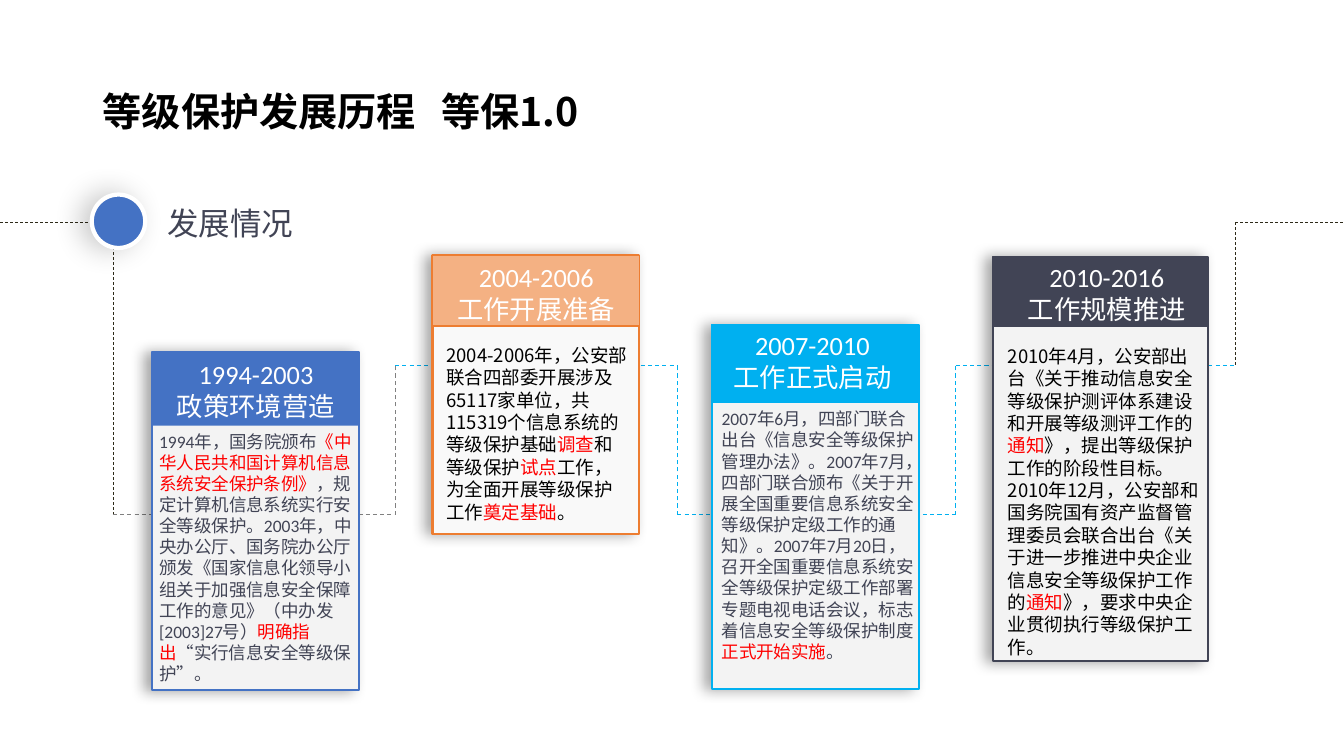
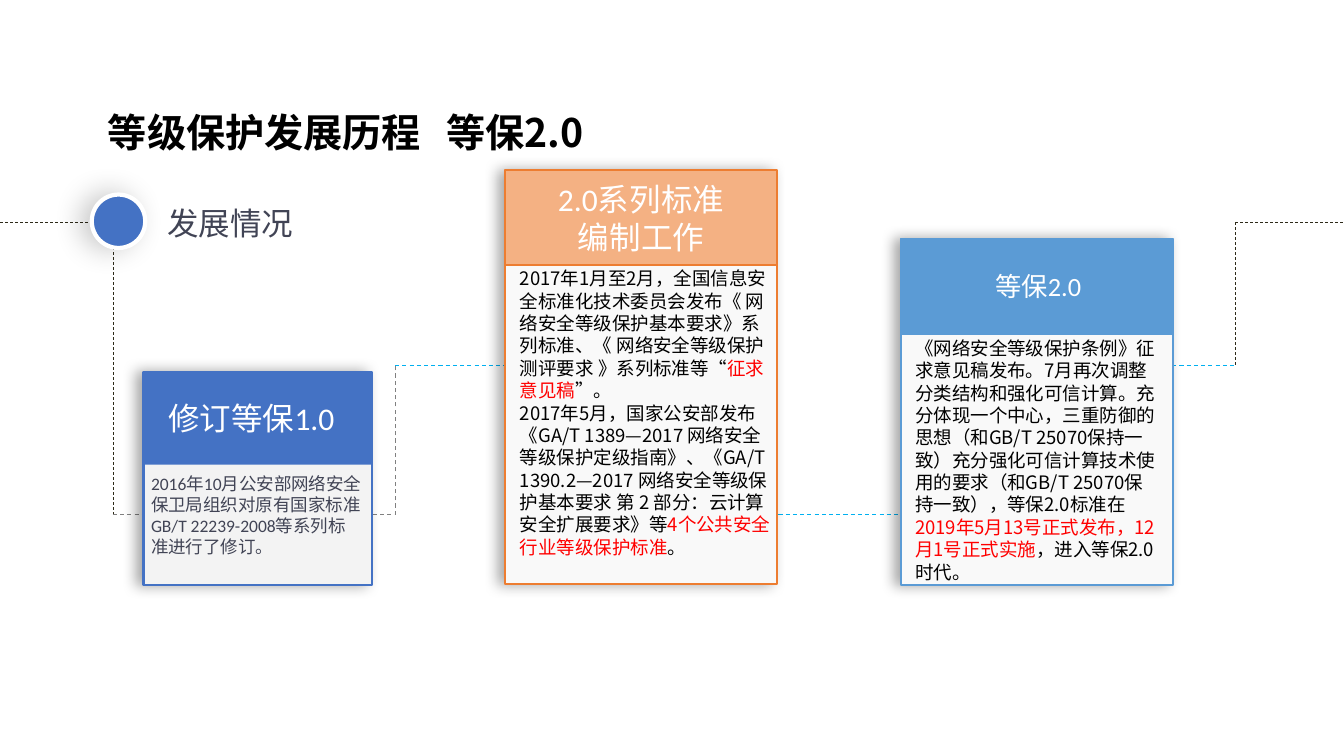
"""Build two timeline slides on the history of classified protection 1.0 and 2.0."""
from lxml import etree
from pptx import Presentation
from pptx.dml.color import RGBColor
from pptx.enum.dml import MSO_LINE
from pptx.enum.shapes import MSO_CONNECTOR, MSO_SHAPE
from pptx.enum.text import MSO_ANCHOR, MSO_AUTO_SIZE, PP_ALIGN
from pptx.oxml.ns import qn
from pptx.util import Inches, Pt

DASH, STRAIGHT = MSO_LINE.DASH, MSO_CONNECTOR.STRAIGHT
RECT, OVAL = MSO_SHAPE.RECTANGLE, MSO_SHAPE.OVAL
LEFT, CENTER = PP_ALIGN.LEFT, PP_ALIGN.CENTER
TOP, MIDDLE = MSO_ANCHOR.TOP, MSO_ANCHOR.MIDDLE
GROW = MSO_AUTO_SIZE.SHAPE_TO_FIT_TEXT
LATIN, CJK = "Calibri", "Noto Sans CJK SC"
BLUE, SKY, ORANGE, PEACH = "4472C4", "00B0F0", "ED7D31", "F4B183"
STEEL, SLATE, INK, GREY = "5B9BD5", "414455", "2D2A19", "808080"
BLACK, WHITE, RED, PALE, SNOW = "000000", "FFFFFF", "FF0000", "F3F3F3", "F9F9F9"
rgb = RGBColor.from_string

prs = Presentation()
prs.slide_width, prs.slide_height = Inches(13.333), Inches(7.5)


def at(x, y, w, h):
    """Turn percentages of the slide into lengths."""
    return [int(share * side / 100) for share, side in
            zip((x, y, w, h), (prs.slide_width, prs.slide_height) * 2)]


def write(sp, paras, style):
    """Fill a shape with paragraphs; text between asterisks is red."""
    tf = sp.text_frame
    for key, value in style["frame"].items():
        setattr(tf, key, value)
    for i, line in enumerate(paras):
        p = tf.paragraphs[0] if i == 0 else tf.add_paragraph()
        for key, value in style["para"].items():
            setattr(p, key, value)
        for j, part in enumerate(line.split("*")):
            r = p.add_run()
            r.text = part
            for key, value in style["font"].items():
                setattr(r.font, key, value)
            r.font.color.rgb = rgb(RED if j % 2 else style["color"])
            latin = r.font._element.find(qn("a:latin"))
            latin.addnext(etree.Element(qn("a:ea"), typeface=CJK))


STYLES = {}
for key, name, size, color, align, wrap, anchor in [
        ("label", LATIN, 22.5, SLATE, LEFT, False, TOP),
        ("head", LATIN, 18.8, WHITE, CENTER, False, TOP),
        ("large head", LATIN, 22.5, WHITE, LEFT, True, TOP),
        ("block head", LATIN, 22.5, WHITE, CENTER, True, MIDDLE),
        ("small text", LATIN, 12.5, SLATE, LEFT, True, TOP),
        ("text", CJK, 13.2, BLACK, LEFT, True, TOP)]:
    STYLES[key] = {
        "frame": {"word_wrap": wrap, "vertical_anchor": anchor, "auto_size": GROW},
        "para": {"alignment": align, "line_spacing": Pt(round(size * 1.21, 1))},
        "font": {"name": name, "size": Pt(size)}, "color": color}
STYLES["block head"]["frame"].pop("auto_size")
STYLES["title"] = {
    "frame": {"word_wrap": True, "vertical_anchor": MIDDLE},
    "para": {"alignment": LEFT, "line_spacing": 0.9},
    "font": {"name": CJK, "size": Pt(28), "bold": True}, "color": BLACK}

COLS = [0, 8.4, 29.4, 50.4, 71.1, 91.9, 100]
ROWS = [29.4, 48.4, 68.1]
LINES = [
    (0, 0, 1, 0, INK, 0.5), (5, 0, 6, 0, INK, 0.5), (1, 0, 1, 2, INK, 0.5),
    (1, 2, 2, 2, GREY, 0.75), (4, 1, 5, 1, SKY, 0.75), (2, 1, 3, 1, SKY, 0.75),
    (2, 2, 2, 1, GREY, 0.75), (3, 2, 4, 2, SKY, 0.75), (5, 0, 5, 1, INK, 0.5)]
INNER_LINES = [(3, 2, 3, 1, SKY, 0.75), (4, 2, 4, 1, SKY, 0.75)]

SLIDES = [
    {"title": "等级保护发展历程\t等保1.0", "title_at": (6.9, 5.33, 86.25, 19.33),
     "lines": LINES + INNER_LINES,
     "cards": [
         {"box": (11.3, 46.6, 15.4, 44.7), "head_h": 9.7, "edge": BLUE,
          "band": BLUE, "band_line": 0, "fill": PALE,
          "head": ["1994-2003", "政策环境营造"], "head_style": "head",
          "head_at": (12.38, 46.67, 13.35, 9.73),
          "text_at": (11.1, 56.27, 16.35, 35.07), "style": "small text",
          "text": ["1994年，国务院颁布*《中华人民共和国计算机信息系统安全保护条例》*，"
                   "规定计算机信息系统实行安全等级保护。2003年，中央办公厅、国务院办公厅颁发"
                   "《国家信息化领导小组关于加强信息安全保障工作的意见》（中办发[2003]27号）"
                   "*明确指出*“实行信息安全等级保护”。"]},
         {"box": (32.18, 33.8, 15.4, 36.8), "head_h": 9.33, "edge": ORANGE,
          "band": PEACH, "band_line": 1, "fill": SNOW,
          "head": ["2004-2006", "工作开展准备"], "head_style": "head",
          "head_at": (33.23, 33.87, 13.35, 9.73),
          "text_at": (32.48, 44.8, 15, 24.93), "style": "text",
          "text": ["2004-2006年，公安部联合四部委开展涉及65117家单位，共115319个信息系统的"
                   "等级保护基础*调查*和等级保护*试点*工作，为全面开展等级保护工作*奠定基础*。"]},
         {"box": (52.95, 43, 15.4, 48.1), "head_h": 10.27, "edge": SKY,
          "band": SKY, "band_line": 1, "fill": PALE,
          "head": ["2007-2010", "工作正式启动"], "head_style": "head",
          "head_at": (53.78, 42.93, 13.35, 9.73),
          "text_at": (52.95, 53.33, 15.9, 35.07), "style": "small text",
          "text": ["2007年6月，四部门联合出台《信息安全等级保护管理办法》。2007年7月，"
                   "四部门联合颁布《关于开展全国重要信息系统安全等级保护定级工作的通知》。"
                   "2007年7月20日，召开全国重要信息系统安全等级保护定级工作部署专题电视电话会议，"
                   "标志着信息安全等级保护制度*正式开始实施*。"]},
         {"box": (73.88, 34, 15.98, 53.47), "head_h": 9.2, "edge": SLATE,
          "band": SLATE, "band_line": 1, "fill": PALE,
          "head": ["2010-2016", "工作规模推进"], "head_style": "head",
          "head_at": (75.68, 33.87, 13.35, 9.73),
          "text_at": (74.25, 44.93, 16.2, 42.53), "style": "text",
          "text": ["2010年4月，公安部出台《关于推动信息安全等级保护测评体系建设和开展等级测评"
                   "工作的*通知*》，提出等级保护工作的阶段性目标。",
                   "2010年12月，公安部和国务院国有资产监督管理委员会联合出台《关于进一步推进"
                   "中央企业信息安全等级保护工作的*通知*》，要求中央企业贯彻执行等级保护工作。"]}]},
    {"title": "等级保护发展历程\t等保2.0", "title_at": (7.28, 13.33, 86.25, 9.07),
     "lines": LINES,
     "cards": [
         {"box": (10.68, 49.2, 17, 28.13), "head_h": 12.27, "edge": BLUE,
          "band": BLUE, "band_line": 0, "fill": PALE,
          "head": ["修订等保1.0"], "head_style": "large head",
          "head_at": (11.78, 52.13, 16.2, 6.4),
          "text_at": (10.5, 61.87, 17.18, 15.33), "style": "small text",
          "text": ["2016年10月公安部网络安全保卫局组织对原有国家标准 GB/T 22239-2008等系列标",
                   "准进行了修订。"]},
         {"box": (37.58, 22.53, 20.25, 54.67), "head_h": 12.53, "edge": ORANGE,
          "band": PEACH, "band_line": 1, "fill": SNOW,
          "head": ["2.0系列标准", "编制工作"], "head_style": "block head",
          "head_at": None,
          "text_at": (37.95, 34.67, 20.33, 39.6), "style": "text",
          "text": ["2017年1月至2月，全国信息安全标准化技术委员会发布《 网络安全等级保护基本要求》"
                   "系列标准、《 网络安全等级保护测评要求 》系列标准等“*征求意见稿*”。",
                   "2017年5月，国家公安部发布《GA/T 1389—2017 网络安全等级保护定级指南》、"
                   "《GA/T 1390.2—2017 网络安全等级保护基本要求 第 2 部分：云计算安全扩展要求》等"
                   "*4个公共安全行业等级保护标准*。"]},
         {"box": (67.05, 31.6, 20.25, 45.73), "head_h": 12.53, "edge": STEEL,
          "band": STEEL, "band_line": 1.5, "fill": SNOW,
          "head": ["等保2.0"], "head_style": "head",
          "head_at": (68.55, 35.07, 17.4, 5.6),
          "text_at": (67.35, 43.87, 19.73, 33.73), "style": "text",
          "text": ["《网络安全等级保护条例》征求意见稿发布。7月再次调整分类结构和强化可信计算。"
                   "充分体现一个中心，三重防御的思想（和GB/T 25070保持一致）充分强化可信计算技术"
                   "使用的要求（和GB/T 25070保持一致），等保2.0标准在"
                   "*2019年5月13号正式发布，12月1号正式实施*，进入等保2.0时代。"]}]},
]

for data in SLIDES:
    s = prs.slides.add_slide(prs.slide_layouts[5])
    title = s.shapes.title
    title.left, title.top, title.width, title.height = at(*data["title_at"])
    write(title, [data["title"]], STYLES["title"])
    pPr = title.text_frame.paragraphs[0]._p.get_or_add_pPr()
    tabs = etree.SubElement(pPr, qn("a:tabLst"))
    etree.SubElement(tabs, qn("a:tab"), pos=str(Inches(3.36)), algn="l")

    label = s.shapes.add_textbox(*at(11.7, 26.27, 10.95, 6.4))
    write(label, ["发展情况"], STYLES["label"])

    for c1, r1, c2, r2, color, width in data["lines"]:
        ends = at(COLS[c1], ROWS[r1], COLS[c2], ROWS[r2])
        line = s.shapes.add_connector(STRAIGHT, *ends)
        line.line.color.rgb = rgb(color)
        line.line.width = Pt(width)
        line.line.dash_style = DASH
        etree.SubElement(line._element.spPr, qn("a:effectLst"))

    shapes = []
    for card in data["cards"]:
        x, y, w, h = card["box"]
        shapes.append((RECT, card["box"], card["fill"], card["edge"], 1.5, (35, 10, 5), None))
        shapes.append((RECT, (x, y, w, card["head_h"]), card["band"], card["edge"],
                       card["band_line"], None, card))
    shapes.append((OVAL, (6.83, 25.73, 3.98, 7.07), BLUE, WHITE, 3, (22, 21, 7), None))

    for kind, box, fill, edge, width, shadow, card in shapes:
        sp = s.shapes.add_shape(kind, *at(*box))
        sp.shadow.inherit = False
        sp.fill.solid()
        sp.fill.fore_color.rgb = rgb(fill)
        if width:
            sp.line.color.rgb = rgb(edge)
            sp.line.width = Pt(width)
        else:
            sp.line.fill.background()
        if shadow:
            alpha, blur, dist = shadow
            effects = sp._element.spPr.find(qn("a:effectLst"))
            outer = etree.SubElement(effects, qn("a:outerShdw"), blurRad=str(Pt(blur)),
                                     dist=str(Pt(dist)), dir="10800000", rotWithShape="0")
            clr = etree.SubElement(outer, qn("a:srgbClr"), val=BLACK)
            etree.SubElement(clr, qn("a:alpha"), val=str(alpha * 1000))
        if card:
            head = s.shapes.add_textbox(*at(*card["head_at"])) if card["head_at"] else sp
            write(head, card["head"], STYLES[card["head_style"]])
            body = s.shapes.add_textbox(*at(*card["text_at"]))
            write(body, card["text"], STYLES[card["style"]])

prs.save("out.pptx")
